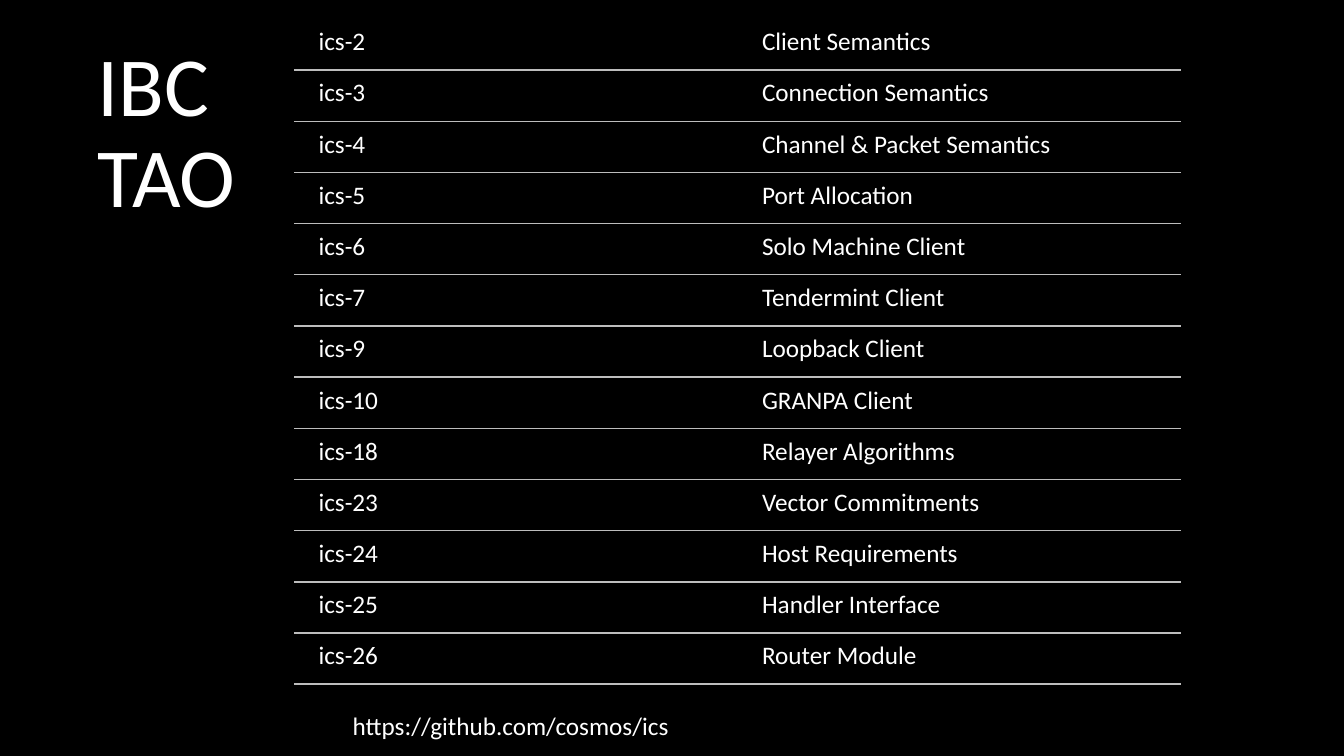
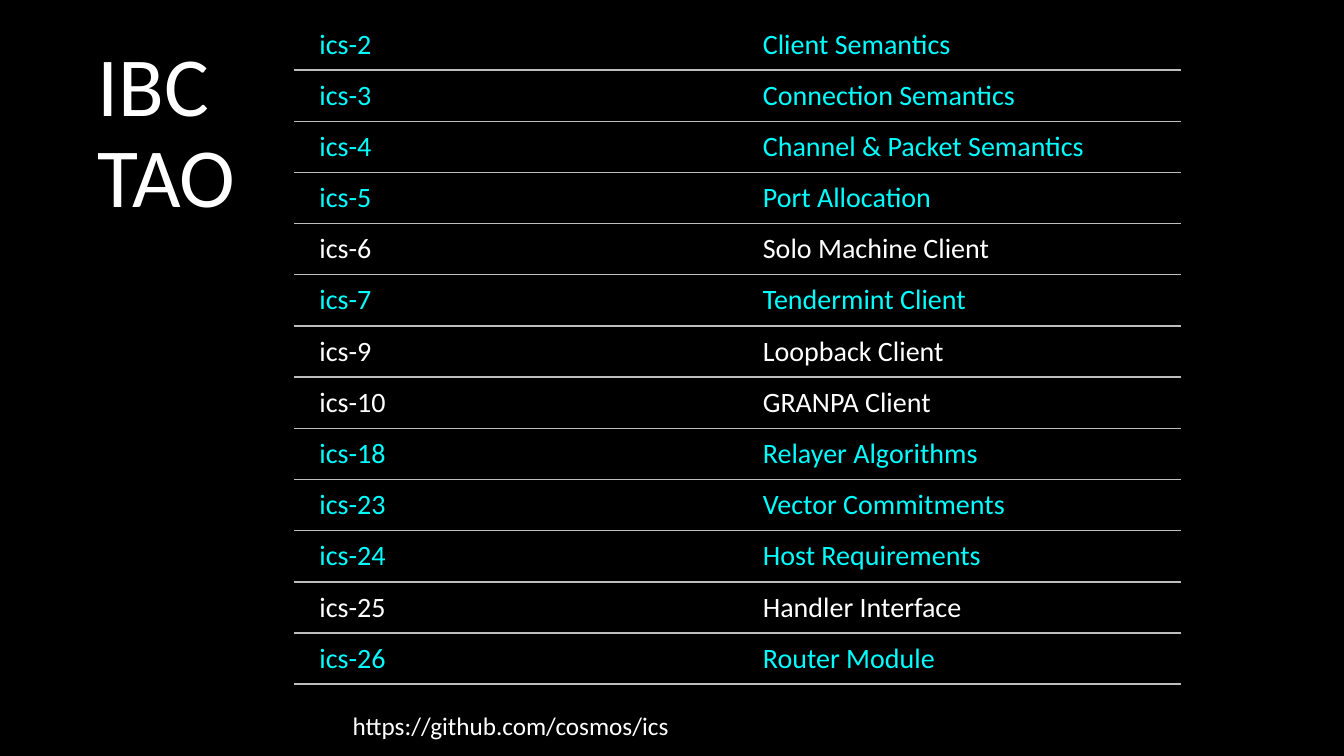
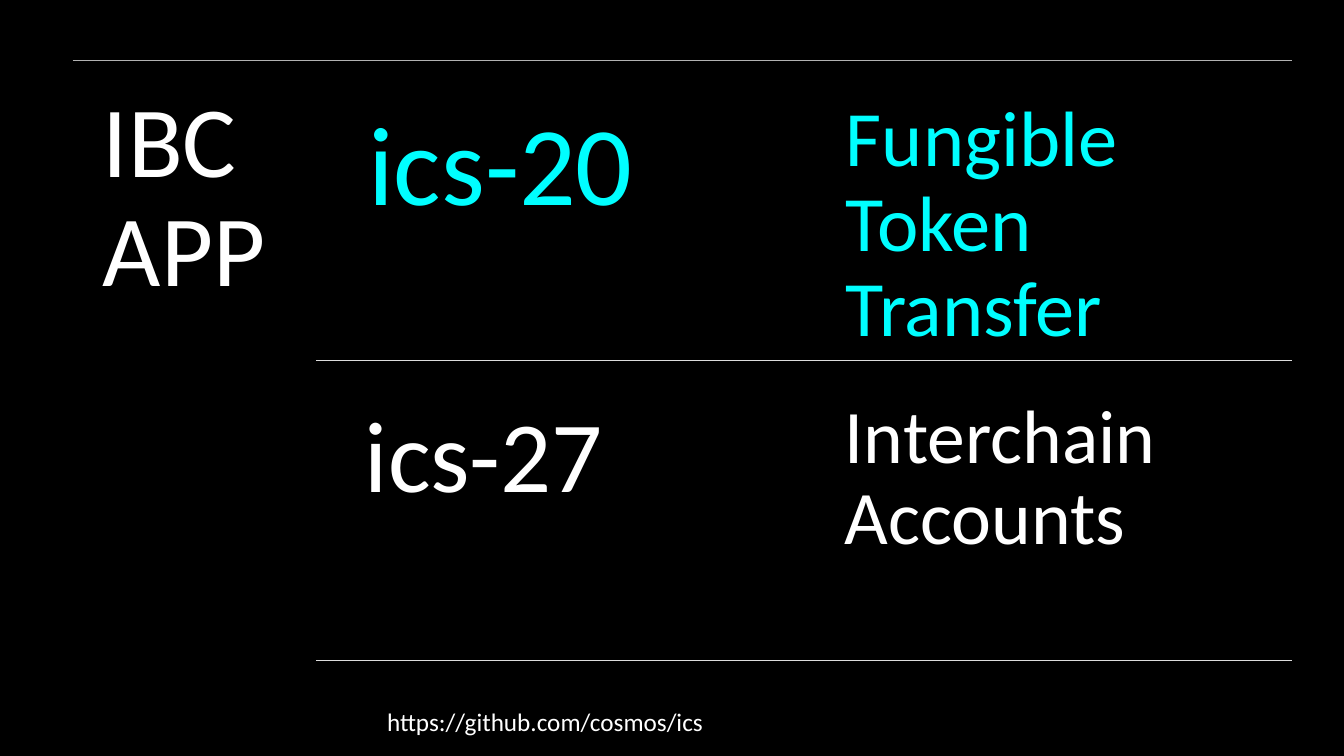
from dataclasses import dataclass

from lxml import etree
from pptx import Presentation
from pptx.dml.color import RGBColor
from pptx.enum.shapes import MSO_CONNECTOR
from pptx.enum.text import MSO_ANCHOR, MSO_AUTO_SIZE
from pptx.oxml.ns import qn
from pptx.util import Inches, Pt

STRAIGHT = MSO_CONNECTOR.STRAIGHT
TOP = MSO_ANCHOR.TOP
FIT_SHAPE = MSO_AUTO_SIZE.SHAPE_TO_FIT_TEXT
FIT_NONE = MSO_AUTO_SIZE.NONE


@dataclass(frozen=True)
class Theme:
    font: str = "Calibri"
    background: str = "000000"
    text: str = "FFFFFF"
    accent: str = "00FEFF"
    rule: str = "BDBDBD"
    rule_light: str = "DDDDDD"
    rule_top: str = "B2B2B2"
    title_size: int = 60
    title_large: int = 72
    list_size: int = 18
    list_large: int = 20
    number_size: int = 72
    number_large: int = 80
    name_size: int = 54
    name_large: int = 56
    footer_size: int = 18
    inset_per_point: float = 0.3
    line_spacing: float = 0.9


@dataclass(frozen=True)
class Frame:
    """A two-column list area, in percent of the slide."""
    left: float
    top: float
    width: float
    height: float
    rows: int

    def x(self, share):
        return self.left + self.width * share / 100

    def y(self, row):
        return self.top + self.height * row / self.rows


class Slides:
    TITLE_WIDTH = 20
    NUMBER_LEFT = 21.5
    NAME_LEFT = 61.5
    CELL_WIDTH = 38.5
    ROW_GAP = 0.05

    def __init__(self, theme):
        self.theme = theme
        self.deck = Presentation()
        self.deck.slide_width = Inches(13.33)
        self.deck.slide_height = Inches(7.5)
        fill = self.deck.slide_master.background.fill
        fill.solid()
        fill.fore_color.rgb = RGBColor.from_string(theme.background)
        self.page = None
        self.frame = None

    def add_page(self, frame):
        self.page = self.deck.slides.add_slide(self.deck.slide_layouts[6])
        self.frame = frame

    def across(self, percent):
        return round(self.deck.slide_width * percent / 100)

    def down(self, percent):
        return round(self.deck.slide_height * percent / 100)

    def text_box(self, left, top, width, height, text, size, color):
        box = self.page.shapes.add_textbox(
            self.across(left), self.down(top), self.across(width), self.down(height))
        body = box.text_frame
        body.word_wrap = True
        body.auto_size = FIT_NONE
        body.vertical_anchor = TOP
        span = body.paragraphs[0].add_run()
        span.text = text
        span.font.name = self.theme.font
        span.font.size = Pt(size)
        span.font.color.rgb = RGBColor.from_string(color)
        return body

    def framed_text(self, share, row, width, rows, text, size, color):
        frame = self.frame
        body = self.text_box(
            frame.x(share), frame.y(row), frame.width * width / 100,
            frame.height * rows / frame.rows, text, size, color)
        inset = Pt(size * self.theme.inset_per_point)
        body.margin_left = body.margin_right = inset
        body.margin_top = body.margin_bottom = inset
        body.paragraphs[0].line_spacing = self.theme.line_spacing

    def title(self, text, size):
        self.framed_text(0, 0, self.TITLE_WIDTH, self.frame.rows, text, size, self.theme.text)

    def rule(self, share, row, color, weight=1):
        y = self.down(self.frame.y(row))
        line = self.page.shapes.add_connector(
            STRAIGHT, self.across(self.frame.x(share)), y, self.across(self.frame.x(100)), y)
        line.line.color.rgb = RGBColor.from_string(color)
        line.line.width = Pt(weight)
        etree.SubElement(line._element.spPr, qn("a:effectLst"))

    def row(self, index, number, name, number_size, name_size, color, rule_color):
        cells = ((self.NUMBER_LEFT, number, number_size), (self.NAME_LEFT, name, name_size))
        for share, text, size in cells:
            self.framed_text(share, index + self.ROW_GAP, self.CELL_WIDTH,
                             1 - self.ROW_GAP, text, size, color)
        self.rule(self.TITLE_WIDTH, index + 1, rule_color)

    def footer(self, left, top):
        body = self.text_box(left, top, 25.5, 5.33, "https://github.com/cosmos/ics",
                             self.theme.footer_size, self.theme.text)
        body.word_wrap = False
        body.auto_size = FIT_SHAPE


STANDARDS = (
    ("ics-2", "Client Semantics"),
    ("ics-3", "Connection Semantics"),
    ("ics-4", "Channel & Packet Semantics"),
    ("ics-5", "Port Allocation"),
    ("ics-6", "Solo Machine Client"),
    ("ics-7", "Tendermint Client"),
    ("ics-9", "Loopback Client"),
    ("ics-10", "GRANPA Client"),
    ("ics-18", "Relayer Algorithms"),
    ("ics-23", "Vector Commitments"),
    ("ics-24", "Host Requirements"),
    ("ics-25", "Handler Interface"),
    ("ics-26", "Router Module"),
)
HIGHLIGHTED = {number for number, _ in STANDARDS} - {"ics-6", "ics-9", "ics-10", "ics-25"}


def transport_page(slides, size, highlighted):
    theme = slides.theme
    slides.add_page(Frame(5.4, 2.5, 82.5, 88, len(STANDARDS)))
    slides.title("IBC TAO", theme.title_size)
    for index, (number, name) in enumerate(STANDARDS):
        color = theme.accent if number in highlighted else theme.text
        slides.row(index, number, name, size, size, color, theme.rule)
    slides.footer(25.5, 93.33)


def application_page(slides):
    theme = slides.theme
    slides.add_page(Frame(5.4, 8, 90.7, 79.33, 2))
    slides.footer(28.06, 92.8)
    slides.rule(0, 0, theme.rule_top, 0.5)
    slides.title("IBC APP", theme.title_large)
    slides.row(0, "ics-20", "Fungible Token Transfer", theme.number_large,
               theme.name_large, theme.accent, theme.rule_light)
    slides.row(1, "ics-27", "Interchain Accounts", theme.number_size,
               theme.name_size, theme.text, theme.rule_light)


def main():
    theme = Theme()
    slides = Slides(theme)
    transport_page(slides, theme.list_size, set())
    transport_page(slides, theme.list_large, HIGHLIGHTED)
    application_page(slides)
    slides.deck.save("out.pptx")


if __name__ == "__main__":
    main()
